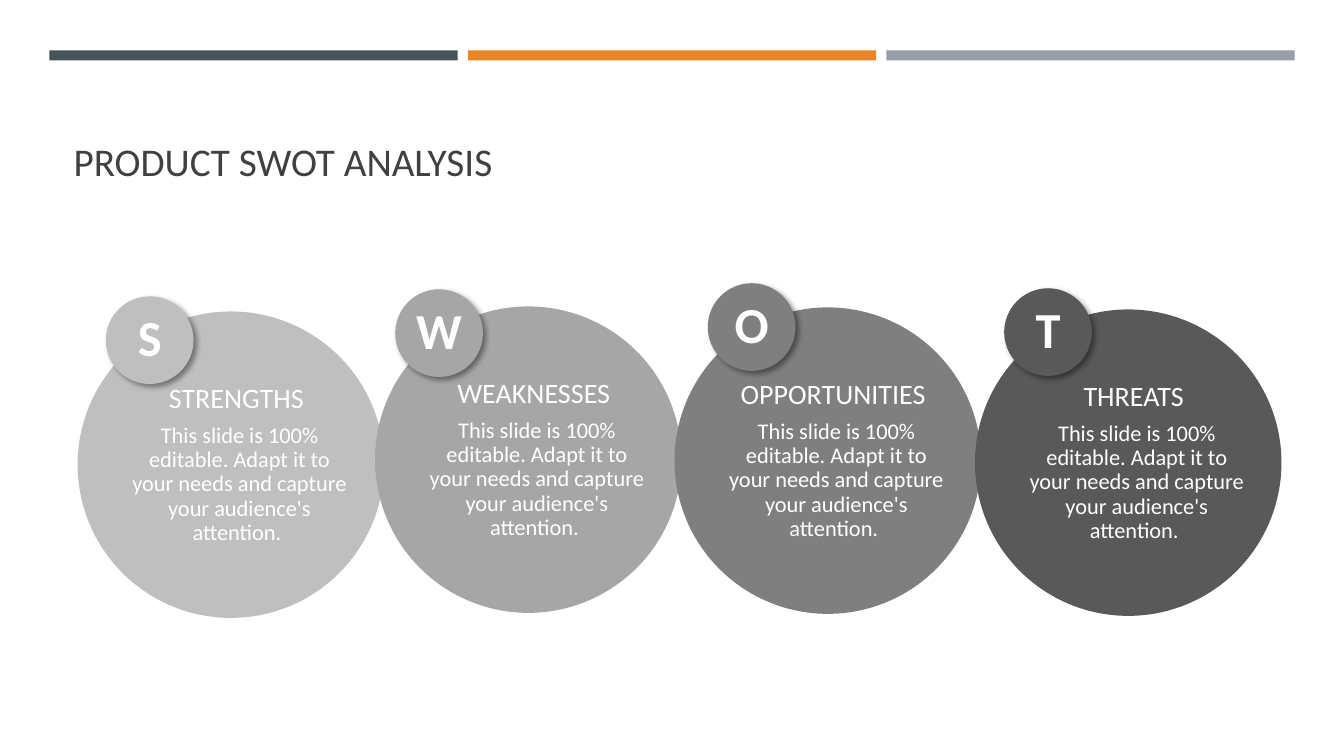
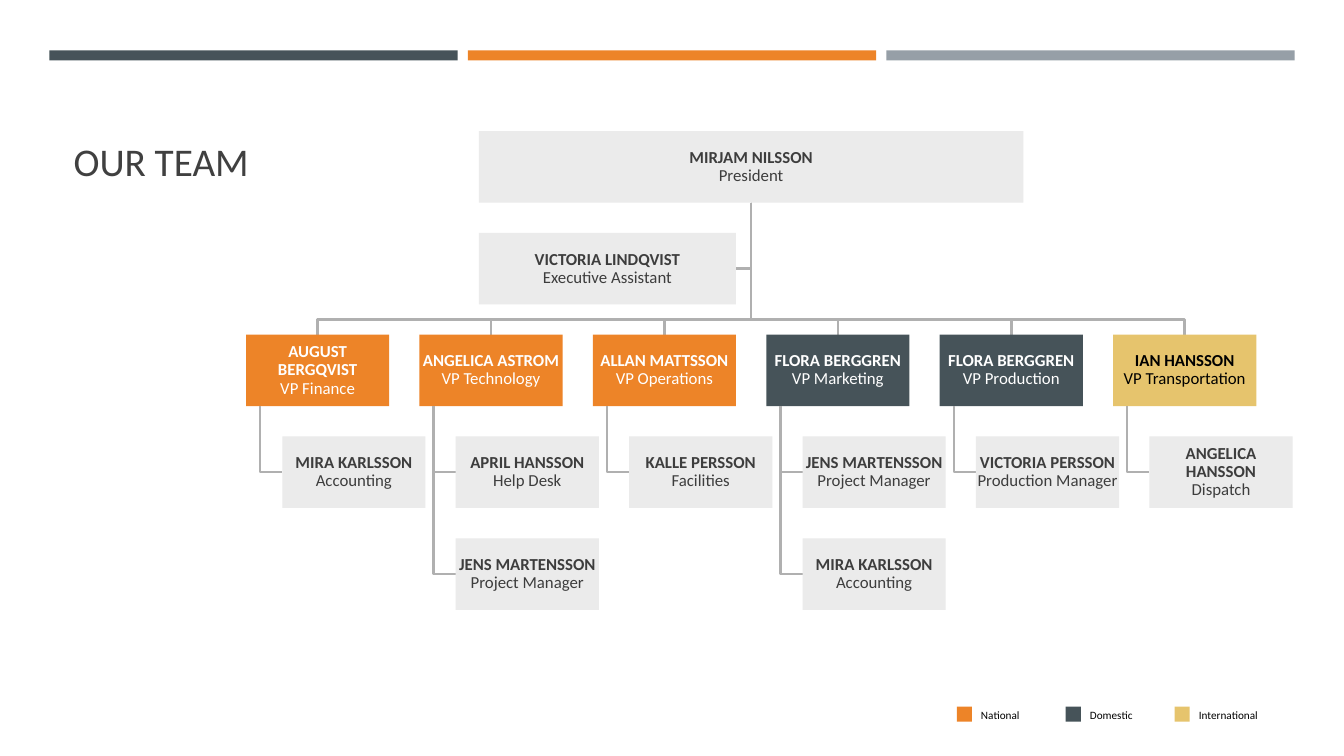
import pptx
import pptx.util
import pptx.dml.color
import pptx.enum.shapes
import pptx.enum.text
import pptx.oxml
import pptx.oxml.ns

PX = 9144  # EMU in one px, 100 px to the inch
FONT = "Calibri"
DARK, ORANGE, SILVER, GOLD = "465359", "ED8428", "969FA7", "E6C46D"
WHITE, BLACK, INK, PALE, RULE = "FFFFFF", "000000", "3D3D3D", "EBEBEB", "B0B0B0"
TITLE = "404040"

BANDS = [DARK, ORANGE, SILVER]
BLURB = "This slide is 100% editable. Adapt it to your needs and capture your audience's attention. "
# letter, heading, colour, circle left and top, badge left and top
SWOT = [
    ("S", "STRENGTHS ", "BFBFBF", (77, 309), (105, 294)),
    ("W", "WEAKNESSES ", "A6A6A6", (372, 304), (392, 287)),
    ("O", "OPPORTUNITIES ", "7F7F7F", (669, 305), (702, 281)),
    ("T", "THREATS ", "595959", (967, 307), (996, 286)),
]
DISC, BADGE = 304, 87

HEAD = ("MIRJAM NILSSON", "President")
AIDE = ("VICTORIA LINDQVIST", "Executive Assistant")
# name, role, fill, text colour, reports
TEAM = [
    ("AUGUST BERGQVIST", "VP Finance", ORANGE, WHITE,
     [("MIRA KARLSSON", "Accounting")]),
    ("ANGELICA ASTROM", "VP Technology", ORANGE, WHITE,
     [("APRIL HANSSON", "Help Desk"), ("JENS MARTENSSON", "Project Manager")]),
    ("ALLAN MATTSSON", "VP Operations", ORANGE, WHITE,
     [("KALLE PERSSON", "Facilities")]),
    ("FLORA BERGGREN", "VP Marketing", DARK, WHITE,
     [("JENS MARTENSSON", "Project Manager"), ("MIRA KARLSSON", "Accounting")]),
    ("FLORA BERGGREN", "VP Production", DARK, WHITE,
     [("VICTORIA PERSSON", "Production Manager")]),
    ("IAN HANSSON", "VP Transportation", GOLD, BLACK,
     [("ANGELICA HANSSON", "Dispatch")]),
]
LEGEND = [("National", ORANGE), ("Domestic", DARK), ("International", GOLD)]
BOX_W, BOX_H = 142, 71
HEAD_X, HEAD_Y, HEAD_W, AIDE_W = 475, 130, 540, 255
TEAM_X, TEAM_Y, STEP_X, STEP_Y = 244, 332, 172, 101
BUS_Y, STEM, INDENT = 317, 14, 36

KIND = pptx.enum.shapes.MSO_SHAPE
ALIGN = pptx.enum.text.PP_ALIGN
ANCHOR = pptx.enum.text.MSO_ANCHOR


def px(*sizes):
    return [round(size * PX) for size in sizes]


def rgb(color):
    return pptx.dml.color.RGBColor.from_string(color)


def shape(slide, kind, left, top, width, height, fill):
    item = slide.shapes.add_shape(kind, *px(left, top, width, height))
    item.shadow.inherit = False
    item.fill.solid()
    item.fill.fore_color.rgb = rgb(fill)
    item.line.fill.background()
    return item


def shade(item):
    """Give a shape a soft shadow to the lower right."""
    props = item.element.spPr
    props.remove(props.find(pptx.oxml.ns.qn("a:effectLst")))
    props.append(pptx.oxml.parse_xml(
        f'<a:effectLst {pptx.oxml.ns.nsdecls("a")}>'
        '<a:outerShdw blurRad="50800" dist="38100" dir="2700000">'
        f'<a:srgbClr val="{BLACK}"><a:alpha val="40000"/></a:srgbClr>'
        '</a:outerShdw></a:effectLst>'))


def elbow(slide, *points):
    """Draw an open, bent rule through the points."""
    first, *rest = [px(*point) for point in points]
    pen = slide.shapes.build_freeform(*first, scale=1.0)
    pen.add_line_segments(rest, close=False)
    rule = pen.convert_to_shape()
    rule.shadow.inherit = False
    rule.fill.background()
    rule.line.width = pptx.util.Pt(1.75)
    rule.line.color.rgb = rgb(RULE)


def write(item, text, size, color, bold=False, align=ALIGN.CENTER,
          anchor=ANCHOR.MIDDLE, inset=(0, 0, 0, 0), after=0, spacing=0.9, add=None):
    """Set the text of a shape, or add a "line" or a "para" to it."""
    frame = item.text_frame
    frame.word_wrap = True
    frame.auto_size = pptx.enum.text.MSO_AUTO_SIZE.NONE
    frame.vertical_anchor = anchor
    (frame.margin_left, frame.margin_top,
     frame.margin_right, frame.margin_bottom) = px(*inset)
    para = frame.add_paragraph() if add == "para" else frame.paragraphs[-1]
    if add == "line":
        para.add_line_break()
    para.alignment = align
    para.line_spacing = spacing
    para.space_before = pptx.util.Pt(0)
    para.space_after = pptx.util.Pt(after)
    run = para.add_run()
    run.text = text
    font = run.font
    font.name, font.bold = FONT, bold
    font.size = pptx.util.Pt(size)
    font.color.rgb = rgb(color)


def label(slide, left, top, width, height):
    return slide.shapes.add_textbox(*px(left, top, width, height))


def place(item, left, top, width, height):
    item.left, item.top, item.width, item.height = px(left, top, width, height)


def brand(layout, slide):
    """Put the bands on the layout, drawing them through a slide."""
    place(layout.placeholders[0], 63, 80, 1206, 108)
    for i, color in enumerate(BANDS):
        band = shape(slide, KIND.RECTANGLE, 49 + 415 * i, 50, 405, 10, color)
        band.element.nvSpPr.cNvPr.id = 20 + i
        layout.shapes.element.append(band.element)


def title(slide, text):
    write(slide.shapes.title, text, 28, TITLE, align=ALIGN.LEFT,
          anchor=ANCHOR.BOTTOM, inset=(10, 5, 10, 5), spacing=1)


def swot(slide):
    title(slide, "PRODUCT SWOT ANALYSIS")
    for letter, head, color, (left, top), spot in SWOT:
        shape(slide, KIND.OVAL, left, top, DISC, DISC, color)
        body = label(slide, left + 48, top, 255, DISC)
        inset = (0, 16, 30, 16)
        write(body, head, 20, WHITE, inset=inset, after=7)
        write(body, BLURB, 16, WHITE, inset=inset, add="para")
        badge = shape(slide, KIND.OVAL, *spot, BADGE, BADGE, color)
        shade(badge)
        write(badge, letter, 36, WHITE, bold=True)


def card(slide, person, left, top, width=BOX_W, fill=PALE, color=INK):
    box = shape(slide, KIND.RECTANGLE, left, top, width, BOX_H, fill)
    name, role = person
    inset = (1, 1, 1, 1)
    write(box, name, 12, color, bold=True, inset=inset)
    write(box, role, 12, color, inset=inset, add="line")


def team(slide):
    title(slide, "OUR TEAM")
    mid, foot = HEAD_X + HEAD_W / 2, HEAD_Y + BOX_H
    aide_top = HEAD_Y + STEP_Y
    aide_y = aide_top + BOX_H / 2
    elbow(slide, (mid, foot), (mid, aide_y), (HEAD_X + AIDE_W, aide_y))
    card(slide, HEAD, HEAD_X, HEAD_Y, HEAD_W)
    card(slide, AIDE, HEAD_X, aide_top, AIDE_W)

    for i, (name, role, fill, color, staff) in enumerate(TEAM):
        left = TEAM_X + STEP_X * i
        centre, stem = left + BOX_W / 2, left + STEM
        elbow(slide, (mid, foot), (mid, BUS_Y), (centre, BUS_Y), (centre, TEAM_Y))
        card(slide, (name, role), left, TEAM_Y, fill=fill, color=color)
        for j, person in enumerate(staff, 1):
            top = TEAM_Y + STEP_Y * j
            y = top + BOX_H / 2
            elbow(slide, (stem, TEAM_Y + BOX_H), (stem, y), (left + INDENT, y))
            card(slide, person, left + INDENT, top)

    for i, (text, color) in enumerate(LEGEND):
        left = 949 + 108 * i
        shape(slide, KIND.RECTANGLE, left, 701, 15, 15, color)
        write(label(slide, left + 24, 701, 77, 16), text, 8, BLACK,
              align=ALIGN.LEFT, spacing=1)


def main():
    deck = pptx.Presentation()
    deck.slide_width, deck.slide_height = px(1333, 750)
    layout = deck.slide_layouts[5]
    pages = [deck.slides.add_slide(layout) for _ in range(2)]
    brand(layout, pages[0])
    swot(pages[0])
    team(pages[1])
    deck.save("out.pptx")


if __name__ == "__main__":
    main()
